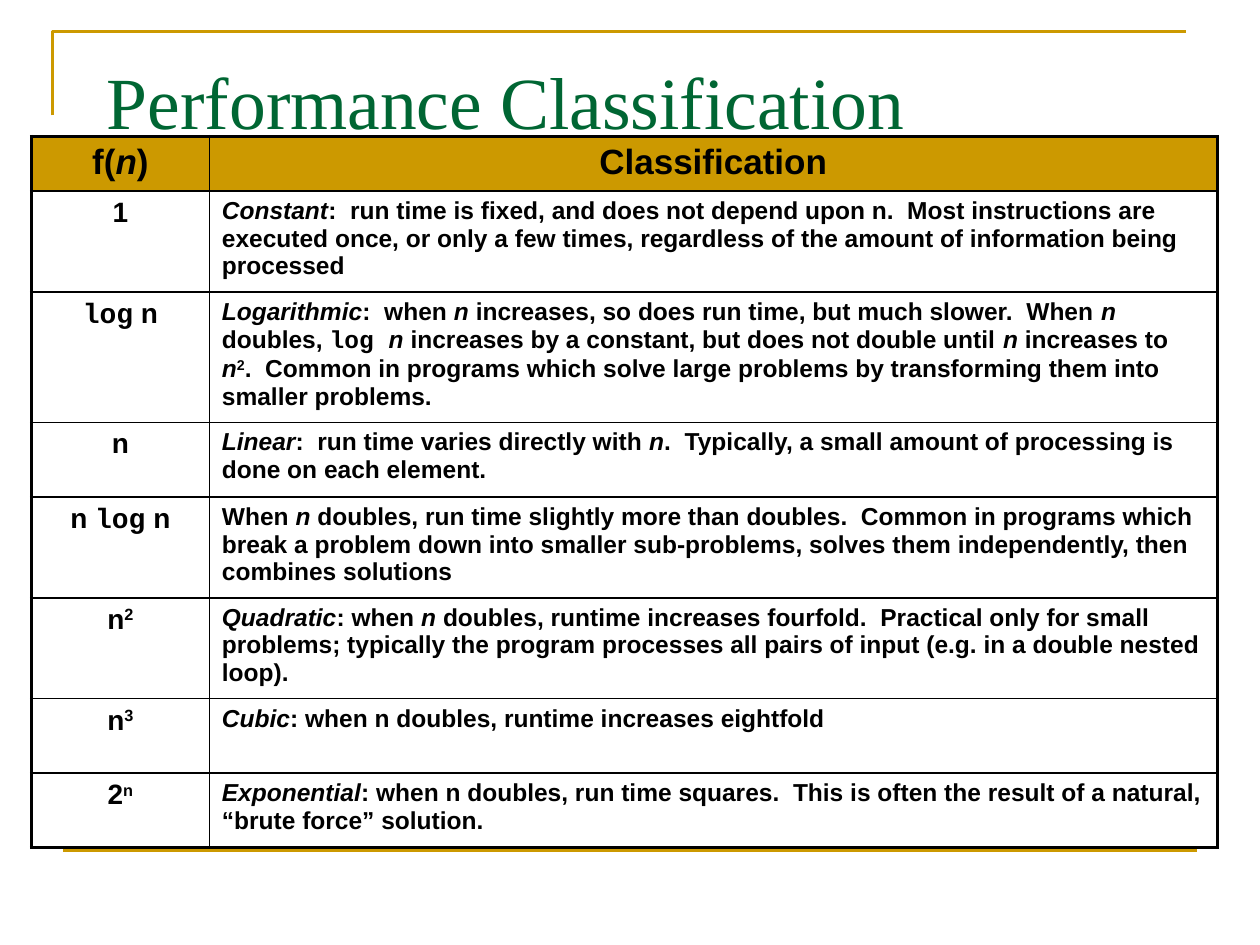
import pptx
import pptx.dml.color
import pptx.enum.shapes
import pptx.enum.text
import pptx.oxml.ns
import pptx.util
from lxml import etree

Pt = pptx.util.Pt
ALIGN = pptx.enum.text.PP_ALIGN
COLORS = {"gold": "CC9900", "green": "006633", "black": "000000"}

# Marks in cell text: *italic*, ^superscript^, `monospace`
HEADER = ("f(*n*)", "Classification")
CLASSES = [
    ("1", "*Constant*:  run time is fixed, and does not depend upon n.  Most instructions are "
          "executed once, or only a few times, regardless of the amount of information being "
          "processed", 57.6),
    ("`log` n", "*Logarithmic*:  when *n* increases, so does run time, but much slower.  When *n* "
                "doubles, `log `*n* increases by a constant, but does not double until *n* "
                "increases to *n*^2^.  Common in programs which solve large problems by "
                "transforming them into smaller problems.", 74.4),
    ("n", "*Linear*:  run time varies directly with* n*.  Typically, a small amount of "
          "processing is done on each element.", 42.6),
    ("n `log` n", "When *n* doubles, run time slightly more than doubles.  Common in programs "
                  "which break a problem down into smaller sub-problems, solves them "
                  "independently, then combines solutions", 57.6),
    ("n^2^", "*Quadratic*: when *n *doubles, runtime increases fourfold.  Practical only for "
             "small problems; typically the program processes all pairs of input (e.g. in a "
             "double nested loop).", 57.6),
    ("n^3^", "*Cubic*: when n doubles, runtime increases eightfold", 42.6),
    ("2^n^", "*Exponential*: when n doubles, run time squares.  This is often the result of a "
             "natural, “brute force” solution.", 42.6),
]


def rgb(name):
    return pptx.dml.color.RGBColor.from_string(COLORS[name])


def split_marks(text):
    """Yield (piece, active marks) for a marked text."""
    piece, active = "", set()
    for character in text:
        if character in "*^`":
            if piece:
                yield piece, set(active)
            piece = ""
            active ^= {character}
        else:
            piece += character
    if piece:
        yield piece, set(active)


def write_text(paragraph, text, *, size, font="Arial", color="black", bold=False,
               align=ALIGN.LEFT, before=0):
    paragraph.alignment = align
    if before:
        properties = paragraph._p.get_or_add_pPr()
        spacing = etree.SubElement(properties, pptx.oxml.ns.qn("a:spcBef"))
        etree.SubElement(spacing, pptx.oxml.ns.qn("a:spcPct"), val=str(before * 1000))
    for piece, marks in split_marks(text):
        run = paragraph.add_run()
        run.text = piece
        run.font.size = Pt(size)
        run.font.name = "Courier New" if "`" in marks else font
        run.font.bold = bold
        run.font.italic = "*" in marks
        run.font.color.rgb = rgb(color)
        if "^" in marks:
            run.font._element.set("baseline", "30000")


class SlideBuilder:
    def __init__(self, slide, rule_color="gold", rule_width=1.5):
        self.slide = slide
        self.rule_color = rule_color
        self.rule_width = rule_width

    def style_rule(self, shape):
        shape.line.color.rgb = rgb(self.rule_color)
        shape.line.width = Pt(self.rule_width)

    def polyline(self, start, *points):
        builder = self.slide.shapes.build_freeform(*start, scale=Pt(1))
        builder.add_line_segments(points, close=False)
        shape = builder.convert_to_shape()
        shape.fill.background()
        shape.shadow.inherit = False
        self.style_rule(shape)

    def line(self, start, end):
        connector = self.slide.shapes.add_connector(
            pptx.enum.shapes.MSO_CONNECTOR.STRAIGHT, *map(Pt, start + end))
        self.style_rule(connector)
        etree.SubElement(connector._element.spPr, pptx.oxml.ns.qn("a:effectLst"))

    def title(self, text, left, top, width, height):
        shape = self.slide.shapes.add_textbox(*map(Pt, (left, top, width, height)))
        frame = shape.text_frame
        frame.word_wrap = True
        frame.margin_top, frame.margin_bottom = Pt(8.25), 0
        write_text(frame.paragraphs[0], text, size=42, font="Times New Roman", color="green")

    def borders(self, cell, widths):
        properties = cell._tc.get_or_add_tcPr()
        for side, width in zip("LRTB", widths):
            border = etree.SubElement(properties, pptx.oxml.ns.qn("a:ln" + side),
                                      w=str(Pt(width)))
            fill = etree.SubElement(border, pptx.oxml.ns.qn("a:solidFill"))
            etree.SubElement(fill, pptx.oxml.ns.qn("a:srgbClr"), val=COLORS["black"])

    def table(self, header, classes, left, top, widths):
        rows = [(*header, 31), *classes]
        heights = [row[2] for row in rows]
        table = self.slide.shapes.add_table(
            len(rows), len(widths),
            *map(Pt, (left, top, sum(widths), sum(heights)))).table
        table.first_row = table.horz_banding = False
        for column, width in zip(table.columns, widths):
            column.width = Pt(width)
        outer, inner = 2.25, 1
        for row_index, (function, description, height) in enumerate(rows):
            table.rows[row_index].height = Pt(height)
            is_header = row_index == 0
            for column_index, text in enumerate((function, description)):
                cell = table.cell(row_index, column_index)
                edges = (column_index == 0, column_index == len(widths) - 1,
                         is_header, row_index == len(rows) - 1)
                self.borders(cell, [outer if edge else inner for edge in edges])
                if is_header:
                    cell.fill.solid()
                    cell.fill.fore_color.rgb = rgb("gold")
                else:
                    cell.fill.background()
                centered = is_header or column_index == 0
                write_text(cell.text_frame.paragraphs[0], text, bold=True, before=20,
                           size=20 if is_header else (16, 14)[column_index],
                           align=ALIGN.CENTER if centered else ALIGN.LEFT)


def main():
    presentation = pptx.Presentation()
    presentation.slide_width, presentation.slide_height = Pt(720), Pt(540)
    builder = SlideBuilder(presentation.slides.add_slide(presentation.slide_layouts[6]))

    # Frame rules
    builder.polyline((30, 66), (30, 18), (678, 18))
    builder.line((36, 486), (684, 486))

    # Title and classification table
    builder.title("Performance Classification", 54, 24, 612, 54)
    builder.table(HEADER, CLASSES, 18, 78, (101.6, 576))

    presentation.save("out.pptx")


if __name__ == "__main__":
    main()
